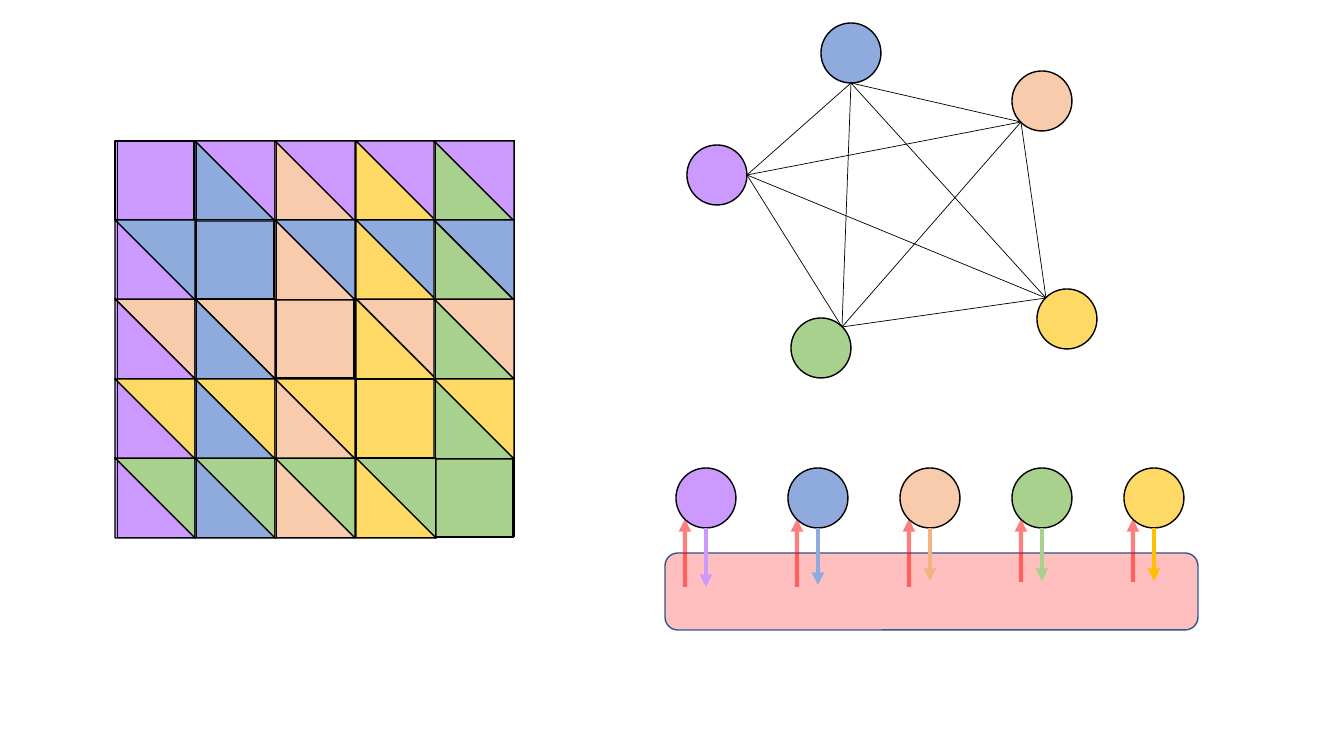
from dataclasses import dataclass
from itertools import combinations
from math import cos, radians, sin

from lxml.etree import SubElement
from pptx import Presentation
from pptx.dml.color import RGBColor
from pptx.enum.shapes import MSO_CONNECTOR, MSO_SHAPE
from pptx.oxml.ns import qn
from pptx.shapes.autoshape import Shape
from pptx.shapes.connector import Connector
from pptx.util import Emu, Pt

EMU_PER_PIXEL = 914400 / 100.8


@dataclass(frozen=True)
class Theme:
    purple: str = "CC99FF"
    blue: str = "8FAADC"
    peach: str = "F8CBAD"
    yellow: str = "FFD966"
    green: str = "A9D18E"
    peach_arrow: str = "F4B183"
    yellow_arrow: str = "FFC000"
    outline: str = "000000"
    bus: str = "FF0000"
    bus_outline: str = "325491"
    outline_width: float = 1
    thin_width: float = 0.5
    arrow_width: float = 3


@dataclass(frozen=True)
class Point:
    x: int
    y: int


@dataclass(frozen=True)
class Node:
    left: int
    top: int
    color: str
    anchor_angle: int

    def anchor(self) -> Point:
        radius = NODE_SIZE / 2
        angle = radians(self.anchor_angle)
        return Point(round(self.left + radius * (1 + cos(angle))),
                     round(self.top + radius * (1 + sin(angle))))


@dataclass(frozen=True)
class BusClient:
    color: str
    write_color: str
    write_end: int
    read_start: int


THEME = Theme()
NODE_SIZE = 60

GRID_COLORS = (THEME.purple, THEME.blue, THEME.peach, THEME.yellow, THEME.green)
GRID_COLUMNS = (115, 195, 275, 356, 434)
GRID_TOP = 141
GRID_SIZE = 397
SQUARE_SIZE = 79
TRIANGLE_SIZE = 80
RULES_LEFT = 117
RULES_TOP = 140

NODES = (
    Node(687, 145, THEME.purple, 0),
    Node(821, 23, THEME.blue, 90),
    Node(791, 318, THEME.green, -45),
    Node(1012, 71, THEME.peach, 135),
    Node(1037, 289, THEME.yellow, -135),
)

CLIENTS = (
    BusClient(THEME.purple, THEME.purple, 587, 587),
    BusClient(THEME.blue, THEME.blue, 585, 587),
    BusClient(THEME.peach, THEME.peach_arrow, 581, 587),
    BusClient(THEME.green, THEME.green, 581, 582),
    BusClient(THEME.yellow, THEME.yellow_arrow, 581, 582),
)
CLIENT_LEFT = 676
CLIENT_TOP = 468
CLIENT_PITCH = 112
READ_OFFSET = 9
READ_END = 519


def px(length: int) -> Emu:
    return Emu(round(length * EMU_PER_PIXEL))


def set_opacity(shape_properties, percent: int) -> None:
    for color in shape_properties.iter(qn("a:srgbClr")):
        SubElement(color, qn("a:alpha"), val=str(percent * 1000))


def add_block(shapes, kind: MSO_SHAPE, left: int, top: int, width: int, height: int,
              fill: str, outline: str = THEME.outline) -> Shape:
    block = shapes.add_shape(kind, px(left), px(top), px(width), px(height))
    block.shadow.inherit = False
    block.fill.solid()
    block.fill.fore_color.rgb = RGBColor.from_string(fill)
    block.line.color.rgb = RGBColor.from_string(outline)
    block.line.width = Pt(THEME.outline_width)
    return block


def add_line(shapes, start: Point, end: Point, color: str = THEME.outline,
             width: float = THEME.thin_width) -> Connector:
    line = shapes.add_connector(MSO_CONNECTOR.STRAIGHT, px(start.x), px(start.y),
                                px(end.x), px(end.y))
    line.line.color.rgb = RGBColor.from_string(color)
    line.line.width = Pt(width)
    SubElement(line._element.spPr, qn("a:effectLst"))
    return line


def add_arrow(shapes, start: Point, end: Point, color: str) -> Connector:
    arrow = add_line(shapes, start, end, color, THEME.arrow_width)
    SubElement(arrow.line._get_or_add_ln(), qn("a:tailEnd"), type="triangle")
    return arrow


def add_circle(shapes, left: int, top: int, color: str) -> Shape:
    return add_block(shapes, MSO_SHAPE.OVAL, left, top, NODE_SIZE, NODE_SIZE, color)


def draw_matrix(shapes) -> None:
    count = len(GRID_COLORS)
    tops = [GRID_TOP + GRID_SIZE * row // count for row in range(count)]
    for left, top, color in zip(GRID_COLUMNS, tops, GRID_COLORS):
        add_block(shapes, MSO_SHAPE.RECTANGLE, left, top, SQUARE_SIZE, SQUARE_SIZE, color)
    for top, row_color in zip(tops, GRID_COLORS):
        for left, column_color in zip(GRID_COLUMNS, GRID_COLORS):
            if row_color == column_color:
                continue
            for color, rotation in ((row_color, 180), (column_color, 0)):
                triangle = add_block(shapes, MSO_SHAPE.RIGHT_TRIANGLE, left, top,
                                     TRIANGLE_SIZE, TRIANGLE_SIZE, color)
                triangle.rotation = rotation
    rules = shapes.add_group_shape().shapes
    right, bottom = RULES_LEFT + GRID_SIZE, RULES_TOP + GRID_SIZE
    for index in range(count + 1):
        offset = round(GRID_SIZE * index / count)
        x, y = RULES_LEFT + offset, RULES_TOP + offset
        add_line(rules, Point(x, RULES_TOP), Point(x, bottom))
        add_line(rules, Point(RULES_LEFT, y), Point(right, y))


def draw_network(shapes) -> None:
    for node in NODES:
        add_circle(shapes, node.left, node.top, node.color)
    for first, second in combinations(NODES, 2):
        add_line(shapes, first.anchor(), second.anchor())


def draw_bus(shapes) -> None:
    bus = add_block(shapes, MSO_SHAPE.ROUNDED_RECTANGLE, 665, 553, 533, 77,
                    THEME.bus, THEME.bus_outline)
    set_opacity(bus._element.spPr.find(qn("a:solidFill")), 25)
    for index, client in enumerate(CLIENTS):
        left = CLIENT_LEFT + CLIENT_PITCH * index
        center, read_x = left + NODE_SIZE // 2, left + READ_OFFSET
        add_circle(shapes, left, CLIENT_TOP, client.color)
        add_arrow(shapes, Point(center, CLIENT_TOP + NODE_SIZE),
                  Point(center, client.write_end), client.write_color)
        read_arrow = add_arrow(shapes, Point(read_x, client.read_start),
                               Point(read_x, READ_END), THEME.bus)
        set_opacity(read_arrow._element.spPr, 50)


deck = Presentation()
deck.slide_width = px(1344)
deck.slide_height = px(756)
page = deck.slides.add_slide(deck.slide_layouts[6])
draw_matrix(page.shapes)
draw_network(page.shapes)
draw_bus(page.shapes)
deck.save("out.pptx")
